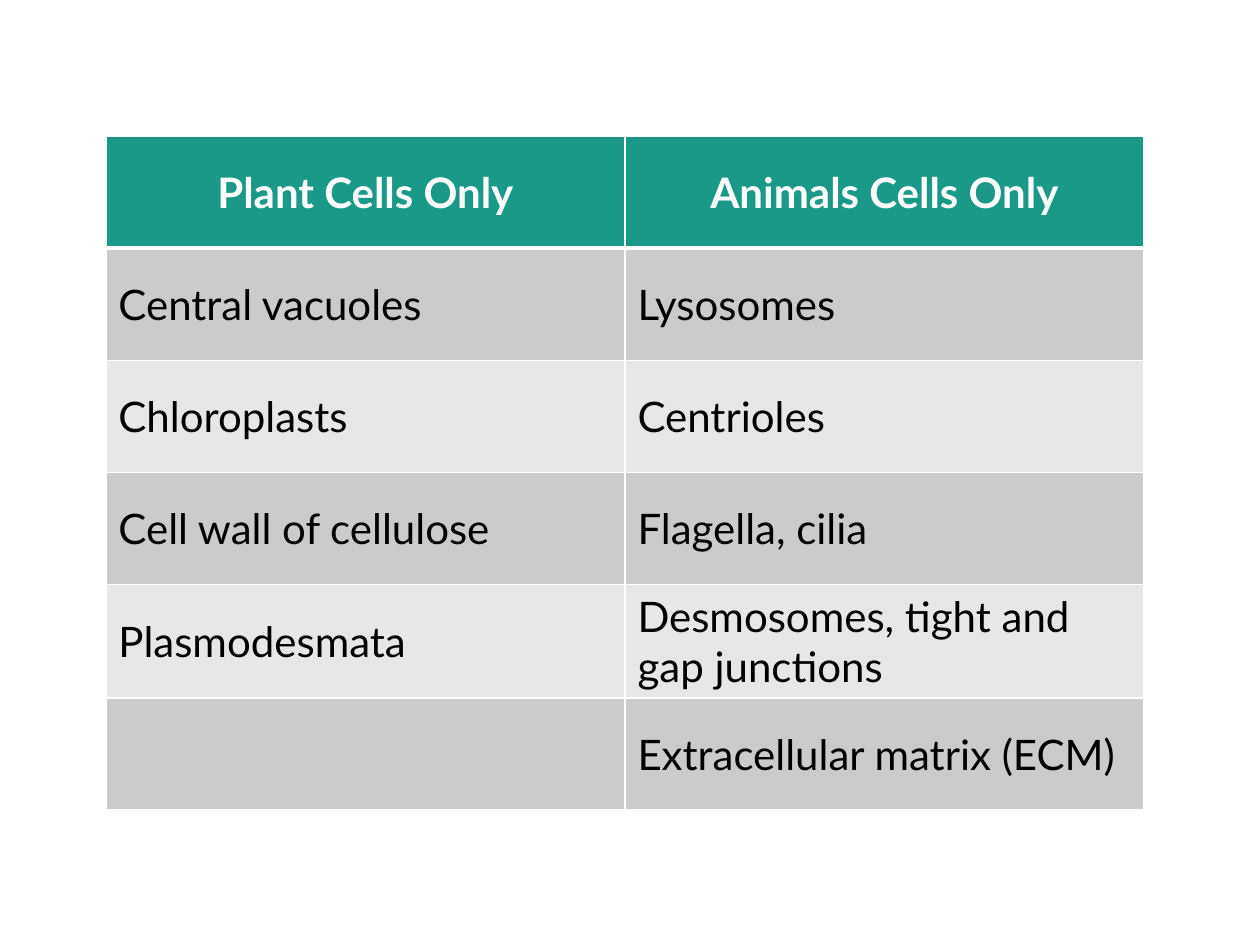
from lxml import etree
from pptx import Presentation
from pptx.dml.color import RGBColor
from pptx.enum.text import MSO_ANCHOR, PP_ALIGN
from pptx.oxml.ns import qn
from pptx.util import Inches, Pt

CENTER, LEFT = PP_ALIGN.CENTER, PP_ALIGN.LEFT
MIDDLE = MSO_ANCHOR.MIDDLE

COLORS = {
    "header": "1A9988",
    "odd": "CBCBCB",
    "even": "E7E7E7",
    "white": "FFFFFF",
    "black": "000000",
}
CELL_FORMAT = {
    "margin_left": Inches(0.1),
    "margin_right": Inches(0.1),
    "margin_top": Inches(0.05),
    "margin_bottom": Inches(0.05),
    "vertical_anchor": MIDDLE,
}
CELL_TYPES = [
    ("Plant Cells Only", "Animals Cells Only"),
    ("Central vacuoles", "Lysosomes"),
    ("Chloroplasts", "Centrioles"),
    ("Cell wall of cellulose", "Flagella, cilia"),
    ("Plasmodesmata", "Desmosomes, tight and gap junctions"),
    ("", "Extracellular matrix (ECM)"),
]


def set_attributes(target, values):
    for name, value in values.items():
        setattr(target, name, value)


def add_borders(cell, widths):
    properties = cell._tc.get_or_add_tcPr()
    for side, width in widths.items():
        line = etree.SubElement(properties, qn(f"a:ln{side}"), w=str(Pt(width)))
        fill = etree.SubElement(line, qn("a:solidFill"))
        etree.SubElement(fill, qn("a:srgbClr"), val=COLORS["white"])


def format_cell(cell, text, row):
    is_header = row == 0
    band = "header" if is_header else "odd" if row % 2 else "even"
    set_attributes(cell, CELL_FORMAT)
    add_borders(cell, {
        "L": 1,
        "R": 1,
        "T": 3 if row == 1 else 1,
        "B": 3 if is_header else 1,
    })
    cell.fill.solid()
    cell.fill.fore_color.rgb = RGBColor.from_string(COLORS[band])

    paragraph = cell.text_frame.paragraphs[0]
    paragraph.alignment = CENTER if is_header else LEFT
    label = paragraph.add_run() if text else paragraph
    if text:
        label.text = text
    set_attributes(label.font, {"name": "Lato", "size": Pt(24), "bold": is_header})
    ink = COLORS["white" if is_header else "black"]
    label.font.color.rgb = RGBColor.from_string(ink)


def add_comparison(slide, left, top, width, height):
    comparison = slide.shapes.add_table(
        len(CELL_TYPES), len(CELL_TYPES[0]), left, top, width, height
    ).table
    for row, entries in enumerate(CELL_TYPES):
        for column, text in enumerate(entries):
            format_cell(comparison.cell(row, column), text, row)


def main():
    deck = Presentation()
    deck.slide_width, deck.slide_height = Inches(10), Inches(7.5)
    slide = deck.slides.add_slide(deck.slide_layouts[6])
    add_comparison(slide, Inches(0.84), Inches(1.08), Inches(8.24), Inches(5.34))
    deck.save("out.pptx")


if __name__ == "__main__":
    main()
